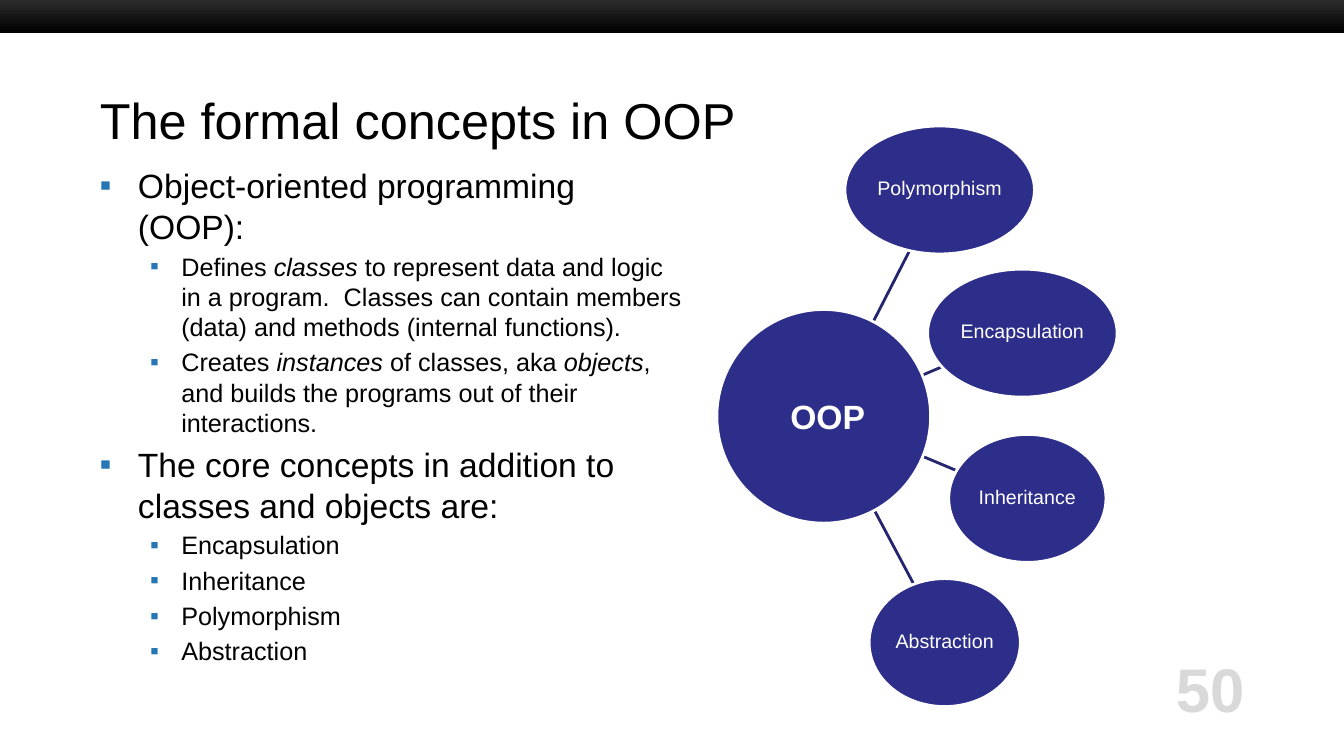
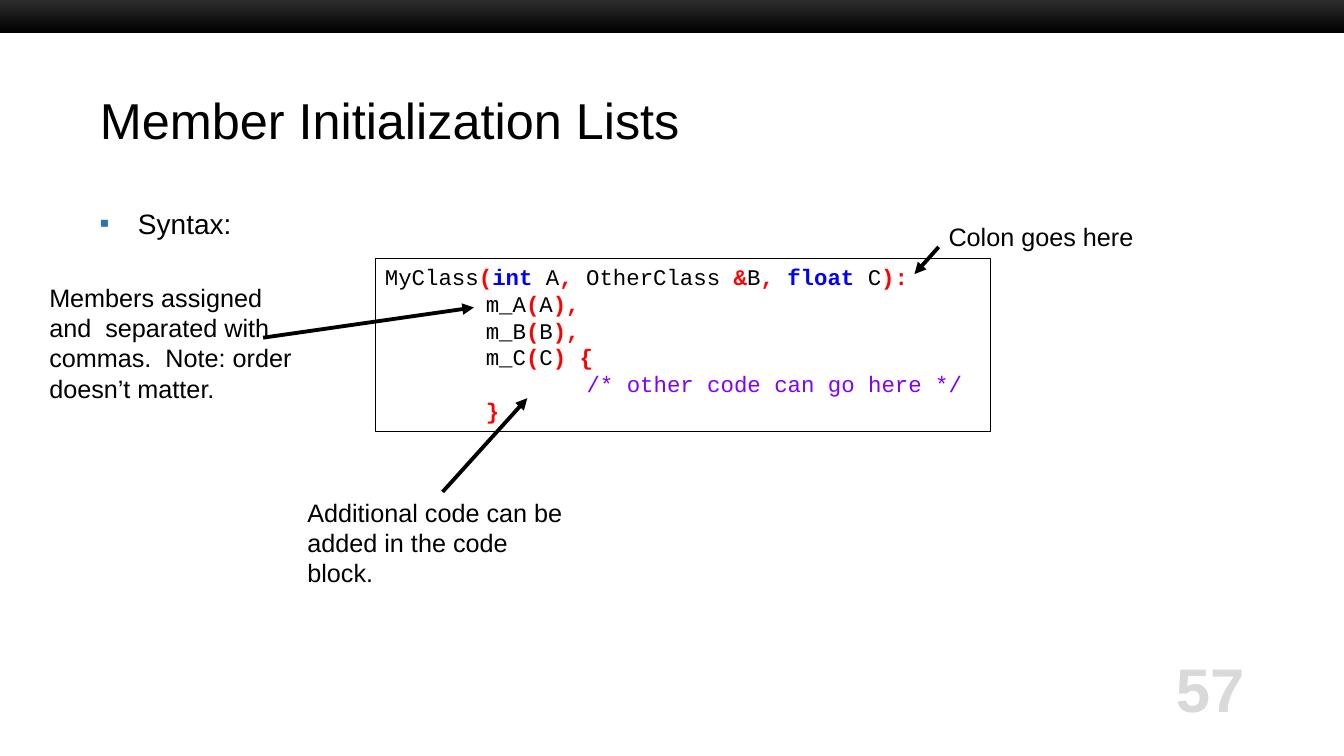
from lxml.etree import SubElement
from pptx import Presentation
from pptx.dml.color import RGBColor
from pptx.enum.shapes import MSO_CONNECTOR, MSO_SHAPE
from pptx.enum.text import MSO_ANCHOR, MSO_AUTO_SIZE, PP_ALIGN
from pptx.oxml.ns import qn
from pptx.util import Inches, Pt

WIDTH, HEIGHT = 13.33, 7.5
COLORS = {
    "black": "000000", "white": "FFFFFF", "band": "333333", "bullet": "2675B4",
    "bubble": "2D2D8A", "spoke": "24246F", "number": "D9D9D9",
    "symbol": "FF0000", "keyword": "0000FF", "comment": "8000FF",
}
STYLES = {
    "plain": {},
    "italic": {"italic": True},
    "symbol": {"bold": True, "color": "symbol"},
    "keyword": {"bold": True, "color": "keyword"},
    "comment": {"color": "comment"},
}
BULLET_INDENTS = [(0.38, -0.38), (0.81, -0.31)]

CONCEPTS = [
    (0, 24, ["Object-oriented programming (OOP):"]),
    (1, 18, ["Defines ", ("classes", "italic"),
             " to represent data and logic in a program.  Classes can contain "
             "members (data) and methods (internal functions)."]),
    (1, 18, ["Creates ", ("instances ", "italic"), "of classes, aka ", ("objects", "italic"),
             ", and builds the programs out of their interactions."]),
    (0, 24, ["The core concepts in addition to classes and objects are:"]),
    (1, 18, ["Encapsulation"]),
    (1, 18, ["Inheritance"]),
    (1, 18, ["Polymorphism"]),
    (1, 18, ["Abstraction"]),
]
HUB = (7.11, 3.07, 2.12, 2.12)
HUB_LABEL = (7.74, 3.88, 0.95, 0.5)
BUBBLE_HEIGHT = 1.27
BUBBLES = [
    ("Polymorphism", (8.38, 1.25), 1.88, (8.56, 3.39, 9.02, 2.49)),
    ("Encapsulation", (9.2, 2.67), 1.88, (8.92, 3.82, 9.34, 3.64)),
    ("Inheritance", (9.41, 4.31), 1.56, (8.92, 4.43, 9.49, 4.67)),
    ("Abstraction", (8.62, 5.74), 1.5, (8.57, 4.87, 9.06, 5.79)),
]
SYNTAX = [(0, 20, ["Syntax:"])]
CODE = [
    (0, ["MyClass", ("(", "symbol"), ("int", "keyword"), " A", (",", "symbol"),
         " OtherClass ", ("&", "symbol"), "B", (",", "symbol"), " ",
         ("float", "keyword"), " C", ("):", "symbol")]),
    (1, ["m_A", ("(", "symbol"), "A", ("),", "symbol")]),
    (1, ["m_B", ("(", "symbol"), "B", ("),", "symbol")]),
    (1, ["m_C", ("(", "symbol"), "C", (")", "symbol"), " ", ("{", "symbol")]),
    (2, [("/* other code can go here */", "comment")]),
    (1, [("}", "symbol")]),
]
CALLOUTS = [
    ("Colon goes here", (9.31, 2.15, 2.26, 0.6), (9.31, 2.45, 9.07, 2.72)),
    ("Members assigned and  separated with commas.  Note: order doesn’t matter.",
     (0.39, 2.75, 2.71, 1.36), (2.61, 3.35, 4.7, 3.05)),
    ("Additional code can be added in the code block.",
     (2.95, 4.88, 2.87, 1.09), (4.39, 4.88, 5.23, 3.95)),
]


def rgb(name):
    return RGBColor.from_string(COLORS[name])


def inches(values):
    return [Inches(value) for value in values]


def write_text(paragraph, segments, size=18, font="Arial", color="black", bold=False,
               align=PP_ALIGN.LEFT, spacing=1.2, before=0, left=0, first=0):
    paragraph.alignment = align
    paragraph.line_spacing = Pt(round(size * spacing, 1))
    paragraph.space_before = Pt(before)
    properties = paragraph._p.get_or_add_pPr()
    properties.set("marL", str(Inches(left)))
    properties.set("indent", str(Inches(first)))
    for segment in segments:
        text, style_name = (segment, "plain") if isinstance(segment, str) else segment
        style = STYLES[style_name]
        run = paragraph.add_run()
        run.text = text
        run.font.name = font
        run.font.size = Pt(size)
        run.font.bold = style.get("bold", bold)
        run.font.italic = style.get("italic", False)
        run.font.color.rgb = rgb(style.get("color", color))


def next_paragraph(frame, index):
    return frame.add_paragraph() if index else frame.paragraphs[0]


def add_bullet(paragraph):
    properties = paragraph._p.get_or_add_pPr()
    color = SubElement(properties, qn("a:buClr"))
    SubElement(color, qn("a:srgbClr"), val=COLORS["bullet"])
    SubElement(properties, qn("a:buFont"), typeface="Arial")
    SubElement(properties, qn("a:buChar"), char="▪")


def add_text_box(slide, box):
    frame = slide.shapes.add_textbox(*inches(box)).text_frame
    frame.word_wrap = True
    return frame


def add_bullets(slide, box, items):
    frame = add_text_box(slide, box)
    for index, (level, size, segments) in enumerate(items):
        paragraph = next_paragraph(frame, index)
        left, first = BULLET_INDENTS[level]
        write_text(paragraph, segments, size=size, before=size * 0.2, left=left, first=first)
        add_bullet(paragraph)


def add_shape(slide, kind, box, line=None, line_width=1):
    shape = slide.shapes.add_shape(kind, *inches(box))
    shape.shadow.inherit = False
    if line:
        shape.line.color.rgb = rgb(line)
        shape.line.width = Pt(line_width)
    else:
        shape.line.fill.background()
    return shape


def add_line(slide, ends, color, width, arrow=False):
    connector = slide.shapes.add_connector(MSO_CONNECTOR.STRAIGHT, *inches(ends))
    connector.line.color.rgb = rgb(color)
    connector.line.width = Pt(width)
    if arrow:
        SubElement(connector.line._get_or_add_ln(), qn("a:tailEnd"), type="triangle")
    SubElement(connector._element.spPr, qn("a:effectLst"))


def add_bubble(slide, box):
    bubble = add_shape(slide, MSO_SHAPE.OVAL, box, "white", 2)
    bubble.fill.solid()
    bubble.fill.fore_color.rgb = rgb("bubble")
    frame = bubble.text_frame
    frame.margin_left = frame.margin_right = frame.margin_top = frame.margin_bottom = Inches(0.01)
    frame.vertical_anchor = MSO_ANCHOR.MIDDLE
    return frame


def add_slide(presentation, title, number):
    slide = presentation.slides.add_slide(presentation.slide_layouts[5])
    band = add_shape(slide, MSO_SHAPE.RECTANGLE, (0, -0.05, WIDTH, 0.38))
    band.fill.gradient()
    band.fill.gradient_angle = 270
    for stop, color, position in zip(band.fill.gradient_stops, ("band", "black"), (0, 1)):
        stop.color.rgb = rgb(color)
        stop.position = position

    heading = slide.shapes.title
    heading.left, heading.top, heading.width, heading.height = inches((0.89, 0.83, 11.56, 0.75))
    heading.text_frame.auto_size = MSO_AUTO_SIZE.NONE
    heading.text_frame.vertical_anchor = MSO_ANCHOR.MIDDLE
    write_text(heading.text_frame.paragraphs[0], [title], size=36, spacing=1.12)

    frame = add_text_box(slide, (10.33, 6.46, 2.11, 0.75))
    frame.margin_top = frame.margin_bottom = 0
    write_text(frame.paragraphs[0], [str(number)], size=44, color="number", bold=True,
               align=PP_ALIGN.RIGHT)
    return slide


def build_concepts(presentation):
    slide = add_slide(presentation, "The formal concepts in OOP", 50)
    add_bullets(slide, (0.89, 1.59, 5.98, 5.1), CONCEPTS)
    for label, corner, width, spoke in BUBBLES:
        add_line(slide, spoke, "spoke", 2)
    add_bubble(slide, HUB)
    for label, corner, width, spoke in BUBBLES:
        frame = add_bubble(slide, (*corner, width, BUBBLE_HEIGHT))
        write_text(frame.paragraphs[0], [label], size=14, color="white", spacing=1,
                   align=PP_ALIGN.CENTER)
    write_text(add_text_box(slide, HUB_LABEL).paragraphs[0], ["OOP"], size=24,
               color="white", bold=True)


def build_initialization(presentation):
    slide = add_slide(presentation, "Member Initialization Lists", 57)
    add_bullets(slide, (0.89, 2, 5.67, 4.25), SYNTAX)
    code_box = add_shape(slide, MSO_SHAPE.RECTANGLE, (3.72, 2.56, 6.1, 1.72), "black", 0.75)
    code_box.fill.background()
    frame = code_box.text_frame
    frame.word_wrap = True
    frame.vertical_anchor = MSO_ANCHOR.TOP
    for index, (level, segments) in enumerate(CODE):
        write_text(next_paragraph(frame, index), segments, size=16, font="Courier New",
                   left=level)
    for text, box, arrow in CALLOUTS:
        write_text(add_text_box(slide, box).paragraphs[0], [text], before=3.6)
        add_line(slide, arrow, "black", 2.75, arrow=True)


def main():
    presentation = Presentation()
    presentation.slide_width = Inches(WIDTH)
    presentation.slide_height = Inches(HEIGHT)
    build_concepts(presentation)
    build_initialization(presentation)
    presentation.save("out.pptx")


if __name__ == "__main__":
    main()
